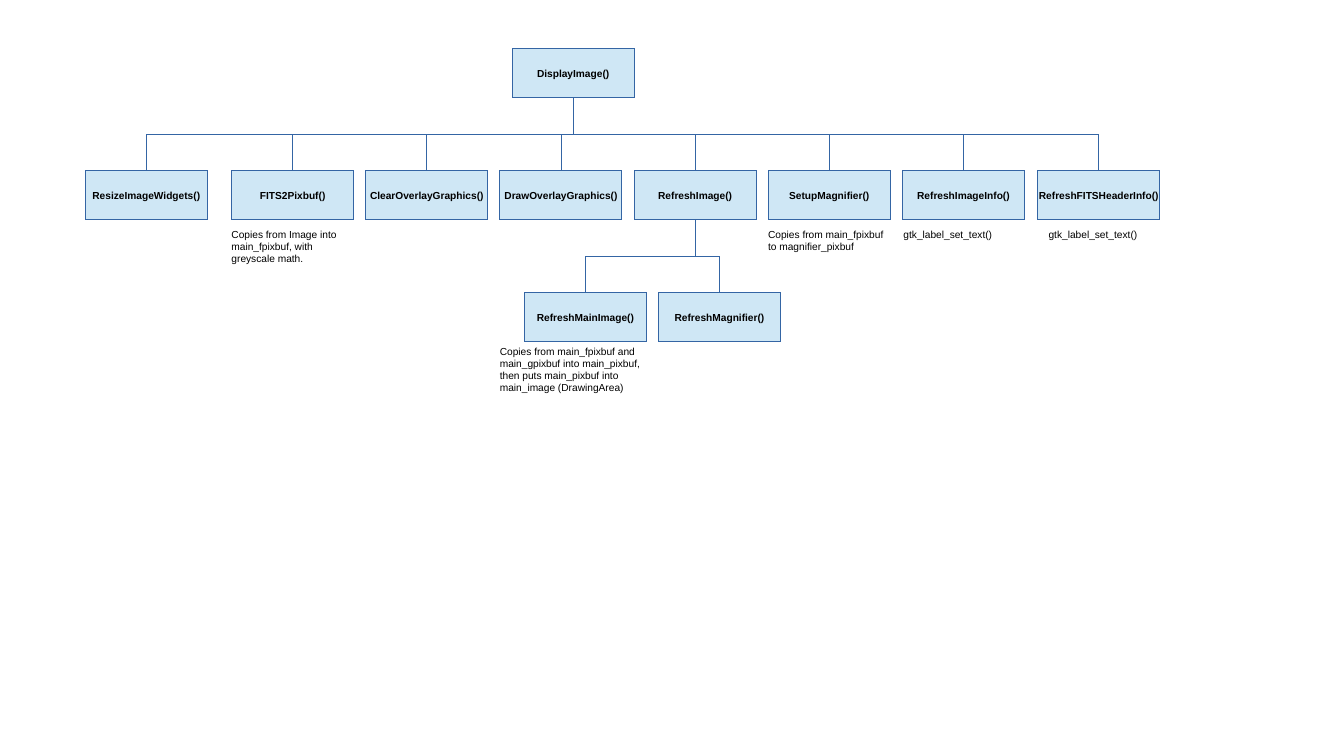
from pptx import Presentation
from pptx.dml.color import RGBColor
from pptx.enum.shapes import MSO_CONNECTOR as LINK, MSO_SHAPE as SHAPE
from pptx.enum.text import MSO_ANCHOR as ANCHOR, MSO_AUTO_SIZE as AUTO, PP_ALIGN as ALIGN
from pptx.oxml.xmlchemy import OxmlElement as Element
from pptx.util import Inches, Pt

WIDE, HIGH = 1, 0.4
STEP = 1.1
TOP = 0.4
HAIR = Pt(0.01)
FILL, EDGE, INK = "CFE7F5", "3465A4", "000000"

CALLS = [
    "ResizeImageWidgets()", "FITS2Pixbuf()", "ClearOverlayGraphics()",
    "DrawOverlayGraphics()", "RefreshImage()", "SetupMagnifier()",
    "RefreshImageInfo()", "RefreshFITSHeaderInfo()",
]
PARTS = ["RefreshMainImage()", "RefreshMagnifier()"]
NOTES = [
    (1.8, 1.82, 1.2, 0.38, "Copies from Image into main_fpixbuf, with greyscale math."),
    (6.2, 1.82, 1.2, 0.29, "Copies from main_fpixbuf to magnifier_pixbuf"),
    (7.31, 1.82, 1.2, 0.29, "gtk_label_set_text()"),
    (8.5, 1.82, 1.2, 0.29, "gtk_label_set_text()"),
    (4, 2.78, 1.42, 0.52, "Copies from main_fpixbuf and main_gpixbuf into main_pixbuf, "
                          "then puts main_pixbuf into main_image (DrawingArea)"),
]


def paint(form, tone):
    """Set a fill, line or font colour from a hex string."""
    form.rgb = RGBColor.from_string(tone)


def rule(line):
    """Give a line the thin blue stroke."""
    paint(line.color, EDGE)
    line.width = HAIR


def write(para, text, bold=False):
    """Add one run of small Arial text."""
    run = para.add_run()
    run.text = text
    run.font.name, run.font.size, run.font.bold = "Arial", Pt(6), bold
    paint(run.font.color, INK)


def add_box(slide, left, row, name):
    """Draw a function box on a row of the tree."""
    box = slide.shapes.add_shape(
        SHAPE.RECTANGLE, Inches(left), Inches(TOP + row), Inches(WIDE), Inches(HIGH))
    box.shadow.inherit = False
    box.fill.solid()
    paint(box.fill.fore_color, FILL)
    rule(box.line)
    frame = box.text_frame
    frame.word_wrap = False
    frame.vertical_anchor = ANCHOR.MIDDLE
    para = frame.paragraphs[0]
    para.alignment = ALIGN.CENTER
    write(para, name, True)
    return box


def add_note(slide, left, top, width, height, text):
    """Place a wrapped remark below a box."""
    note = slide.shapes.add_textbox(*map(Inches, (left, top, width, height)))
    note.text_frame.word_wrap = True
    note.text_frame.auto_size = AUTO.SHAPE_TO_FIT_TEXT
    write(note.text_frame.paragraphs[0], text)


def add_link(slide, root, leaf):
    """Join two boxes by an elbow turned to run downward."""
    link = slide.shapes.add_connector(LINK.ELBOW, 0, 0, 0, 0)
    link.begin_connect(root, 2)
    link.end_connect(leaf, 0)
    start, end = root.left + root.width // 2, leaf.left + leaf.width // 2
    base = root.top + root.height
    drop, span = leaf.top - base, abs(end - start)
    link.left, link.top = (start + end - drop) // 2, base + (drop - span) // 2
    link.width, link.height = drop, span
    right = end > start
    frame = link._element.spPr.xfrm
    frame.set("rot", str((270 if right else 90) * 60000))
    frame.set("flipH", str(int(right)))
    frame.set("flipV", "0")
    rule(link.line)
    link._element.spPr.append(Element("a:effectLst"))


def add_row(slide, root, row, lefts, names):
    """Draw the children of a box and link them to it."""
    kids = [add_box(slide, left, row, name) for left, name in zip(lefts, names)]
    for kid in kids:
        add_link(slide, root, kid)
    return kids


def main():
    """Build the call tree slide."""
    deck = Presentation()
    deck.slide_width, deck.slide_height = Inches(11.02), Inches(6.2)
    slide = deck.slides.add_slide(deck.slide_layouts[6])
    root = add_box(slide, 4.2, 0, "DisplayImage()")
    lefts = [0.7] + [1.9 + STEP * col for col in range(6)] + [8.51]
    kids = add_row(slide, root, 1, lefts, CALLS)
    fresh = kids[CALLS.index("RefreshImage()")]
    add_row(slide, fresh, 2, [4.3, 4.3 + STEP], PARTS)
    for note in NOTES:
        add_note(slide, *note)
    deck.save("out.pptx")


if __name__ == "__main__":
    main()
